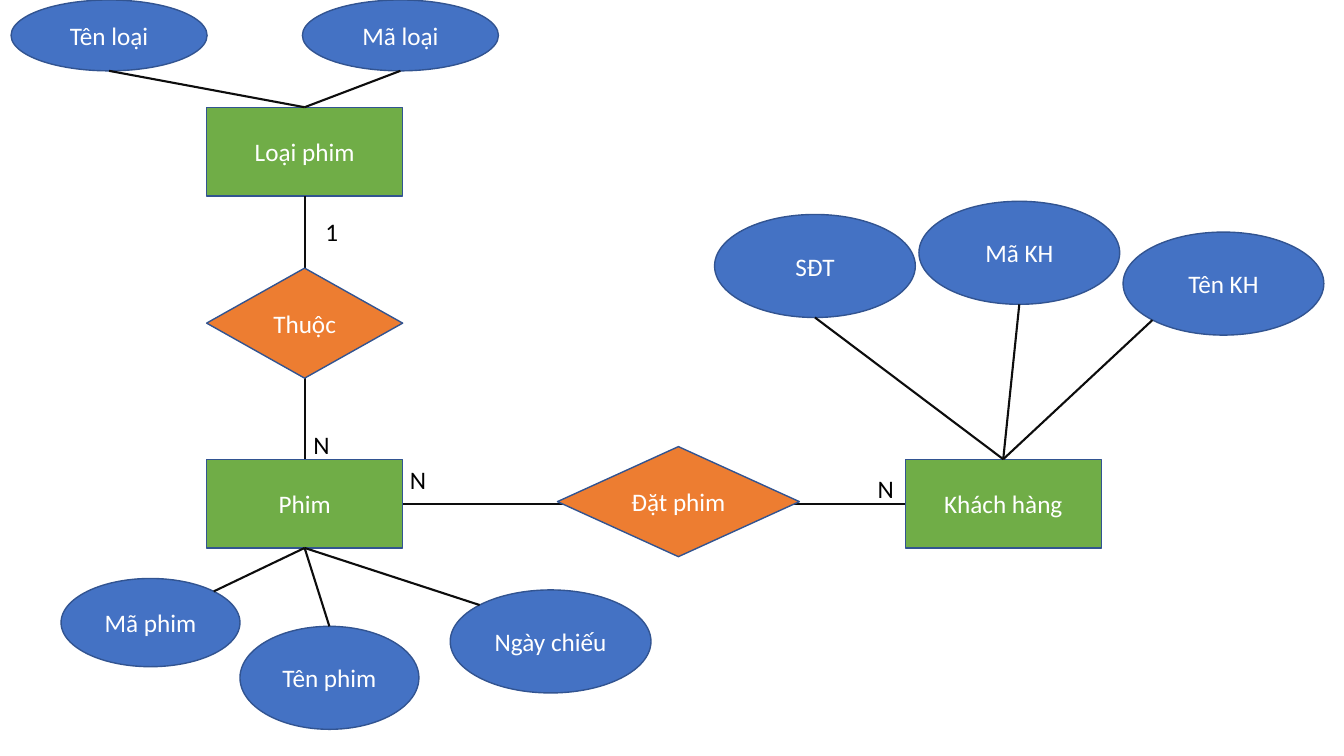
from math import cos, sin, radians
from lxml.etree import SubElement
from pptx import Presentation
from pptx.dml.color import RGBColor
from pptx.enum.shapes import MSO_CONNECTOR, MSO_SHAPE
from pptx.enum.text import MSO_ANCHOR, MSO_AUTO_SIZE, PP_ALIGN
from pptx.oxml.ns import qn
from pptx.util import Pt

HUES = {"entity": "70AD47", "link": "ED7D31", "field": "4472C4",
        "edge": "325491", "line": "0D0D0D", "white": "FFFFFF", "black": "000000"}
FORMS = {"entity": MSO_SHAPE.RECTANGLE, "link": MSO_SHAPE.DIAMOND,
         "field": MSO_SHAPE.OVAL}

# Connection sites run counterclockwise from the top
TOP, LEFT, BOTTOM, RIGHT = range(4)
OVAL_TOP, OVAL_NW, OVAL_SW, OVAL_BOTTOM, OVAL_NE = 0, 1, 3, 4, 7


class Chart:
    """Draws the parts of an entity-relationship diagram."""
    font, size = "Calibri", 18

    def __init__(self, slide):
        self.shapes = slide.shapes

    def hue(self, name):
        return RGBColor.from_string(HUES[name])

    def letter(self, frame, text, color):
        para = frame.paragraphs[0]
        para.text = text
        para.font.name, para.font.size = self.font, Pt(self.size)
        para.font.color.rgb = self.hue(color)
        return para

    def node(self, kind, text, x, y, w, h):
        box = self.shapes.add_shape(FORMS[kind], Pt(x), Pt(y), Pt(w), Pt(h))
        box.shadow.inherit = False
        box.fill.solid()
        box.fill.fore_color.rgb = self.hue(kind)
        box.line.color.rgb = self.hue("edge")
        box.line.width = Pt(1)
        box.text_frame.vertical_anchor = MSO_ANCHOR.MIDDLE
        self.letter(box.text_frame, text, "white").alignment = PP_ALIGN.CENTER
        return box

    def label(self, text, x, y):
        box = self.shapes.add_textbox(Pt(x), Pt(y), Pt(36), Pt(29))
        box.text_frame.word_wrap = True
        box.text_frame.auto_size = MSO_AUTO_SIZE.SHAPE_TO_FIT_TEXT
        self.letter(box.text_frame, text, "black")

    def site(self, box, index):
        step = 45 if box.auto_shape_type == MSO_SHAPE.OVAL else 90
        angle = radians(90 + step * index)
        return (round(box.left + box.width * (1 + cos(angle)) / 2),
                round(box.top + box.height * (1 - sin(angle)) / 2))

    def join(self, start, out, end, into):
        head, tail = self.site(start, out), self.site(end, into)
        line = self.shapes.add_connector(MSO_CONNECTOR.STRAIGHT, *head, *tail)
        # Gluing moves an end only for sites 0 to 3, so the true ends are set after it
        line.begin_connect(start, out)
        if into < 4:
            line.end_connect(end, into)
        line.begin_x, line.begin_y = head
        line.end_x, line.end_y = tail
        line.line.color.rgb = self.hue("line")
        line.line.width = Pt(1.5)
        SubElement(line._element.spPr, qn("a:effectLst"))


deck = Presentation()
deck.slide_width, deck.slide_height = Pt(960), Pt(540)
chart = Chart(deck.slides.add_slide(deck.slide_layouts[6]))

# Entities
WIDE, HIGH = 140, 63.4
COL, ROW = 147.6, 328
genre = chart.node("entity", "Loại phim", COL, 76.6, WIDE, HIGH)
film = chart.node("entity", "Phim", COL, ROW, WIDE, HIGH)
client = chart.node("entity", "Khách hàng", 646.6, ROW, WIDE, HIGH)

# Relationships, each diamond lying over its line
chart.join(genre, BOTTOM, film, TOP)
chart.join(client, LEFT, film, RIGHT)
chart.node("link", "Thuộc", COL, 191.5, WIDE, 78.6)
chart.node("link", "Đặt phim", 398.2, 319, 172.8, 78.6)

# Cardinalities
for text, x, y in [("1", 225.4, 151.2), ("N", 216.7, 303.1),
                   ("N", 285.8, 328.3), ("N", 619.9, 334.8)]:
    chart.label(text, x, y)

# Attributes: entity, its site, text, box, site on the oval
FIELDS = [
    (genre, TOP, "Mã loại", (216, 0, WIDE, 50.6), OVAL_BOTTOM),
    (genre, TOP, "Tên loại", (7.9, 0, WIDE, 50.6), OVAL_BOTTOM),
    (film, BOTTOM, "Mã phim", (43.6, 413.2, 127.8, 63), OVAL_NE),
    (film, BOTTOM, "Tên phim", (171.4, 447.4, 127.8, 73.6), OVAL_TOP),
    (film, BOTTOM, "Ngày chiếu", (321.6, 421.4, 143.4, 73.6), OVAL_NW),
    (client, TOP, "Mã KH", (656.4, 143.8, 143.4, 73.6), OVAL_BOTTOM),
    (client, TOP, "Tên KH", (802.2, 165.8, 143.4, 73.6), OVAL_SW),
    (client, TOP, "SĐT", (510.4, 153.2, 143.4, 73.6), OVAL_BOTTOM),
]
for owner, out, text, area, into in FIELDS:
    chart.join(owner, out, chart.node("field", text, *area), into)

deck.save("out.pptx")
